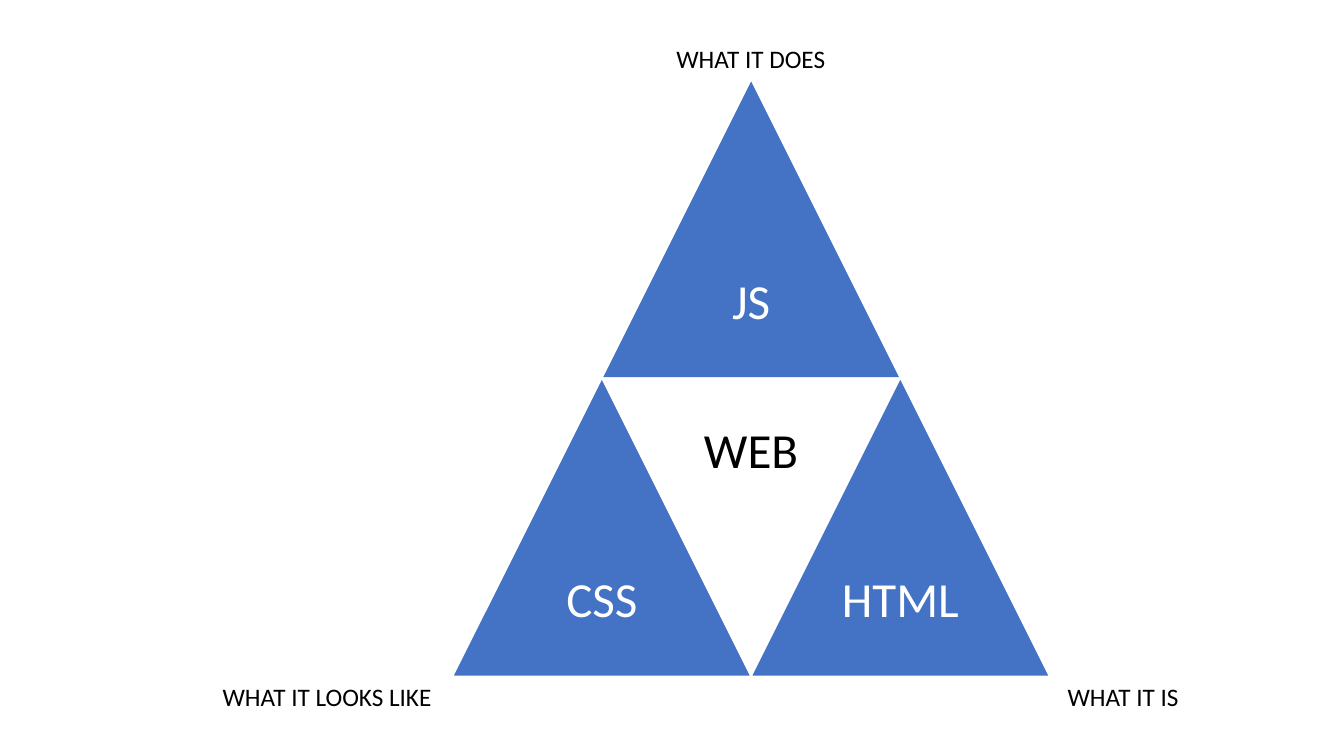
from dataclasses import dataclass

from pptx import Presentation
from pptx import util as u
from pptx.dml.color import RGBColor
from pptx.enum import shapes, text


@dataclass(frozen=True)
class Theme:
    font: str = "Calibri"
    blue: str = "4472C4"
    white: str = "FFFFFF"
    black: str = "000000"
    big: int = 35
    small: int = 18


class Deck:
    WIDE, HIGH = 13.33, 7.5
    LEFT, TOP = 4.49, 0.79
    UNIT = 1.48  # half the side of one triangle

    def __init__(self, theme):
        self.theme = theme
        self.file = Presentation()
        self.file.slide_width = u.Inches(self.WIDE)
        self.file.slide_height = u.Inches(self.HIGH)
        self.slide = self.file.slides.add_slide(self.file.slide_layouts[6])

    def cell(self, col, row, span):
        """Return the box of a square that spans grid units."""
        return [u.Inches(n) for n in (
            self.LEFT + col * self.UNIT, self.TOP + row * self.UNIT,
            span * self.UNIT, span * self.UNIT)]

    def add_words(self, box, words, size, color, align=text.PP_ALIGN.LEFT,
                  anchor=text.MSO_ANCHOR.TOP, lines=1.0):
        frame = self.slide.shapes.add_textbox(*box).text_frame
        frame.word_wrap = True
        frame.vertical_anchor = anchor
        par = frame.paragraphs[0]
        par.alignment = align
        par.line_spacing = lines
        run = par.add_run()
        run.text = words
        run.font.name = self.theme.font
        run.font.size = u.Pt(size)
        run.font.color.rgb = RGBColor.from_string(color)

    def tile(self, col, row, words, fill, ink, flip=False):
        """Draw a triangle with its word in the wide half."""
        shape = self.slide.shapes.add_shape(
            shapes.MSO_SHAPE.ISOSCELES_TRIANGLE, *self.cell(col, row, 2))
        shape.shadow.inherit = False
        shape.rotation = 180 if flip else 0
        shape.fill.solid()
        shape.fill.fore_color.rgb = RGBColor.from_string(fill)
        shape.line.color.rgb = RGBColor.from_string(self.theme.white)
        shape.line.width = u.Pt(1)
        base = row if flip else row + 1
        self.add_words(self.cell(col + 0.5, base, 1), words, self.theme.big,
                       ink, text.PP_ALIGN.CENTER, text.MSO_ANCHOR.MIDDLE, 0.9)

    def label(self, across, down, words):
        """Place a caption at shares of the slide's size."""
        box = [u.Inches(n) for n in (
            across * self.WIDE, down * self.HIGH, 2 * self.UNIT, 0.4)]
        self.add_words(box, words, self.theme.small, self.theme.black)


def main():
    theme = Theme()
    deck = Deck(theme)
    for col, row, words in ((1, 0, "JS"), (0, 2, "CSS")):
        deck.tile(col, row, words, theme.blue, theme.white)
    deck.tile(1, 2, "WEB", theme.white, theme.black, flip=True)
    deck.tile(2, 2, "HTML", theme.blue, theme.white)

    top, foot = 0.38 / deck.HIGH, 6.71 / deck.HIGH
    deck.label(6.61 / deck.WIDE, top, "WHAT IT DOES")
    deck.label(10.49 / deck.WIDE, foot, "WHAT IT IS")
    deck.label(2.11 / deck.WIDE, foot, "WHAT IT LOOKS LIKE")
    deck.file.save("out.pptx")


if __name__ == "__main__":
    main()
